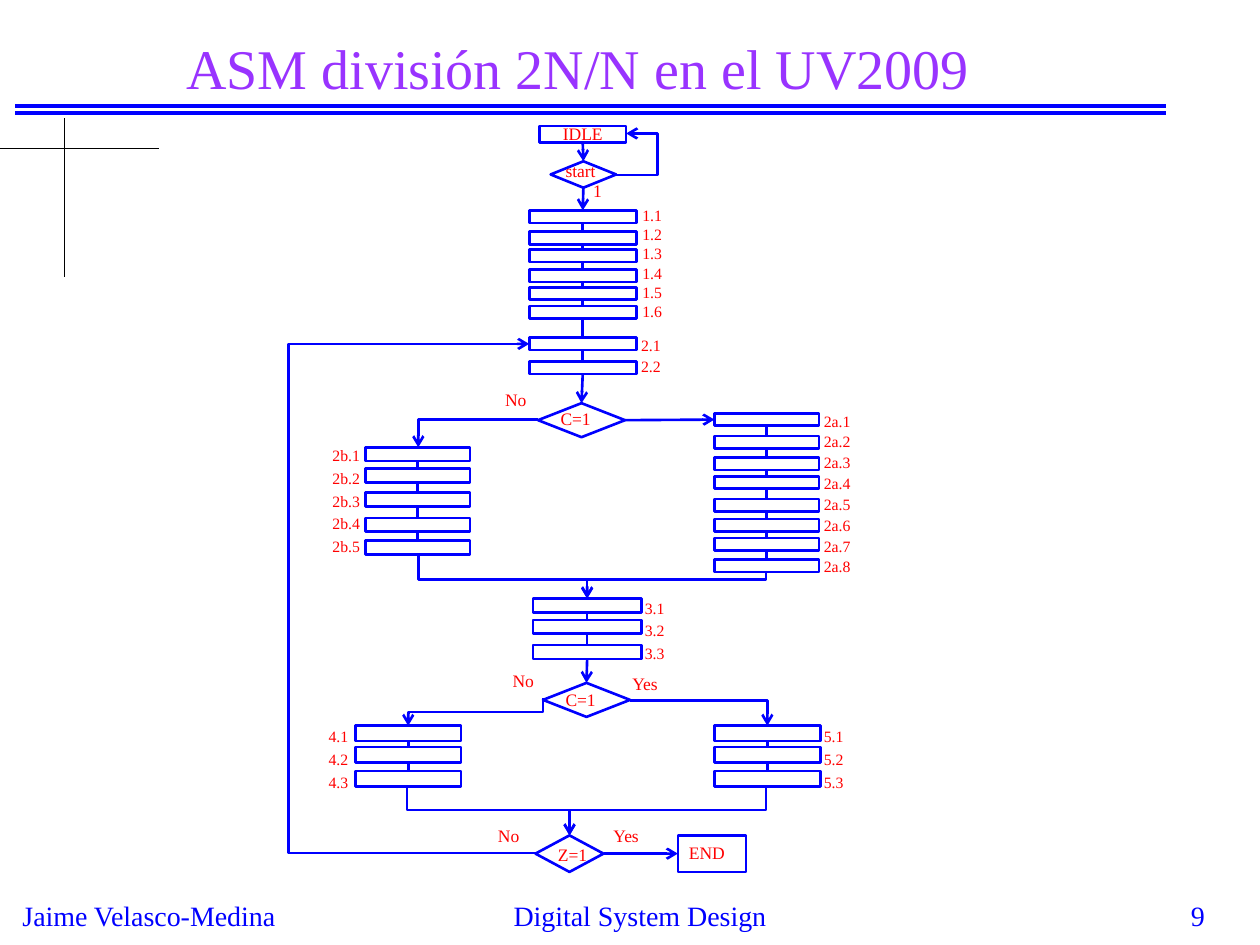
from dataclasses import dataclass
from itertools import pairwise

from lxml.etree import SubElement
from pptx import Presentation
from pptx.dml.color import RGBColor
from pptx.enum.shapes import MSO_CONNECTOR, MSO_SHAPE
from pptx.enum.text import PP_ALIGN
from pptx.oxml.ns import qn
from pptx.util import Inches, Pt


@dataclass(frozen=True)
class Theme:
    font: str = "Times New Roman"
    blue: RGBColor = RGBColor(0x00, 0x00, 0xFF)
    red: RGBColor = RGBColor(0xFF, 0x00, 0x00)
    purple: RGBColor = RGBColor(0x99, 0x33, 0xFF)
    black: RGBColor = RGBColor(0x00, 0x00, 0x00)
    title_size: float = 32
    footer_size: float = 16
    flow_size: float = 10
    step_size: float = 9
    rule_width: float = 2.25
    flow_width: float = 1.5
    hair_width: float = 0.75


THEME = Theme()
LEFT, CENTER, RIGHT = PP_ALIGN.LEFT, PP_ALIGN.CENTER, PP_ALIGN.RIGHT
TOP_SIDE, LEFT_SIDE, BOTTOM_SIDE, RIGHT_SIDE = range(4)

TITLE = ("ASM división 2N/N en el UV2009", 1.38, 0.22, 6.46, 0.64, LEFT)
FOOTERS = [
    ("Jaime Velasco-Medina", 0.08, 7.08, 2.24, 0.37, LEFT),
    ("Digital System Design", 3.33, 7.08, 3.5, 0.33, CENTER),
    ("9", 7.58, 7.08, 2.08, 0.25, RIGHT),
]
HEADER_RULES = [(0.12, 0.84, 9.25, 0.84), (0.12, 0.9, 9.25, 0.9)]
CROSS_HAIRS = [(0, 1.18, 1.26, 1.18), (0.51, 0.94, 0.51, 2.2)]

NODES = {
    "idle": (MSO_SHAPE.RECTANGLE, 4.28, 1, 0.69, 0.13),
    "start": (MSO_SHAPE.DIAMOND, 4.37, 1.28, 0.52, 0.21),
    "first carry": (MSO_SHAPE.DIAMOND, 4.27, 3.2, 0.69, 0.27),
    "second carry": (MSO_SHAPE.DIAMOND, 4.31, 5.42, 0.69, 0.27),
    "zero": (MSO_SHAPE.DIAMOND, 4.25, 6.63, 0.54, 0.29),
    "end": (MSO_SHAPE.RECTANGLE, 5.38, 6.63, 0.54, 0.29),
}
STACKS = {
    "main": (4.2, 0.85, 0.1, [1.67, 1.84, 1.98, 2.14, 2.28, 2.43, 2.68, 2.87]),
    "2a": (5.67, 0.83, 0.1, [3.28, 3.46, 3.63, 3.78, 3.96, 4.12, 4.27, 4.44]),
    "2b": (2.9, 0.83, 0.11, [3.55, 3.72, 3.91, 4.11, 4.29]),
    "3": (4.23, 0.86, 0.11, [4.75, 4.92, 5.12]),
    "4": (2.82, 0.84, 0.12, [5.76, 5.93, 6.12]),
    "5": (5.67, 0.84, 0.12, [5.76, 5.93, 6.12]),
}
STEP_LABELS = [
    ("1", 6, 5, 1.58, 0.43, 1.02, 1.02),
    ("2", 2, 4.99, 2.6, 0.37, 0.43, 1.1),
    ("2a", 8, 6.44, 3.2, 0.6, 1.43, 1.1),
    ("2b", 5, 2.54, 3.46, 0.45, 1.01, 1.2),
    ("3", 3, 5.02, 4.67, 0.57, 0.65, 1.2),
    ("4", 3, 2.51, 5.69, 0.48, 0.65, 1.2),
    ("5", 3, 6.44, 5.69, 0.48, 0.65, 1.2),
]
FLOW_LABELS = [
    ("IDLE", 4.1, 0.93, 1.05, 0.27, CENTER),
    ("start", 4.39, 1.22, 0.49, 0.27, LEFT),
    ("1", 4.61, 1.38, 0.28, 0.27, LEFT),
    ("No", 3.91, 3.04, 0.68, 0.27, LEFT),
    ("C=1", 4.35, 3.19, 0.71, 0.27, LEFT),
    ("No", 3.97, 5.27, 0.68, 0.27, LEFT),
    ("Yes", 4.92, 5.29, 0.67, 0.27, LEFT),
    ("C=1", 4.39, 5.42, 0.71, 0.27, LEFT),
    ("No", 3.66, 6.5, 0.56, 0.27, RIGHT),
    ("Yes", 4.77, 6.5, 0.55, 0.27, LEFT),
    ("Z=1", 4.33, 6.65, 0.58, 0.27, LEFT),
    ("END", 5.37, 6.63, 0.56, 0.27, LEFT),
]
SIDEWAYS_ROUTES = [
    ((4.88, 1.39), (4.97, 1.06), 5.22),
    ((4.25, 6.77), (4.2, 2.73), 2.29),
]
CORNER_ROUTES = [((4.27, 3.33), (3.32, 3.55)), ((5, 5.56), (6.09, 5.76))]
DOWNWARD_ROUTES = [
    ((6.08, 4.53), (4.66, 4.75), 4.6),
    ((3.32, 4.4), (4.66, 4.75), 4.6),
    ((4.31, 5.54), (3.24, 5.76), 5.65),
    ((6.08, 6.24), (4.52, 6.63), 6.43),
    ((3.23, 6.24), (4.52, 6.63), 6.43),
]


def add_text(page, lines, left, top, width, height, size, color, align=LEFT, spacing=1.0):
    box = page.shapes.add_textbox(*map(Inches, (left, top, width, height)))
    frame = box.text_frame
    frame.word_wrap = True
    frame.text = "\n".join(lines)
    for para in frame.paragraphs:
        para.alignment = align
        para.line_spacing = spacing
        para.font.name = THEME.font
        para.font.size = Pt(size)
        para.font.color.rgb = color


def add_node(page, kind, left, top, width, height):
    node = page.shapes.add_shape(kind, *map(Inches, (left, top, width, height)))
    node.shadow.inherit = False
    node.fill.background()
    node.line.color.rgb = THEME.blue
    node.line.width = Pt(THEME.flow_width)
    return node


def add_line(page, ends, kind=MSO_CONNECTOR.STRAIGHT, color=THEME.blue,
             width=THEME.flow_width, arrow=False):
    line = page.shapes.add_connector(kind, *map(Inches, ends))
    line.line.color.rgb = color
    line.line.width = Pt(width)
    if arrow:
        SubElement(line.line._get_or_add_ln(), qn("a:tailEnd"), type="arrow")
    SubElement(line._element.spPr, qn("a:effectLst"))
    return line


def join(page, source, source_side, target, target_side, arrow=False):
    line = add_line(page, (0, 0, 0, 0), arrow=arrow)
    line.begin_connect(source, source_side)
    line.end_connect(target, target_side)


def bend(line, share):
    guides = line._element.spPr.prstGeom.get_or_add_avLst()
    SubElement(guides, qn("a:gd"), name="adj1", fmla=f"val {round(share * 100000)}")


def add_sideways(page, start, end, turn):
    line = add_line(page, (*start, *end), MSO_CONNECTOR.ELBOW, arrow=True)
    bend(line, (turn - start[0]) / (end[0] - start[0]))


def add_corner(page, start, end):
    line = add_line(page, (*start, *end), MSO_CONNECTOR.ELBOW, arrow=True)
    line._element.spPr.prstGeom.set("prst", "bentConnector2")


def add_downward(page, start, end, turn):
    across, down = end[0] - start[0], end[1] - start[1]
    middle_x, middle_y = (start[0] + end[0]) / 2, (start[1] + end[1]) / 2
    left, top = middle_x - down / 2, middle_y - abs(across) / 2
    ends = (left, top, left + down, top + abs(across))
    line = add_line(page, ends, MSO_CONNECTOR.ELBOW, arrow=True)
    frame = line._element.spPr.find(qn("a:xfrm"))
    frame.set("rot", str(90 * 60000))
    if across > 0:
        frame.set("flipV", "1")
    bend(line, (turn - start[1]) / down)


def main():
    deck = Presentation()
    deck.slide_width, deck.slide_height = Inches(10), Inches(7.5)
    page = deck.slides.add_slide(deck.slide_layouts[6])

    for ends in HEADER_RULES:
        add_line(page, ends, width=THEME.rule_width)
    for text, *place, align in FOOTERS:
        add_text(page, [text], *place, THEME.footer_size, THEME.blue, align)
    for ends in CROSS_HAIRS:
        add_line(page, ends, color=THEME.black, width=THEME.hair_width)
    text, *place, align = TITLE
    add_text(page, [text], *place, THEME.title_size, THEME.purple, align)

    nodes = {name: add_node(page, *shape) for name, shape in NODES.items()}
    stacks = {
        name: [add_node(page, MSO_SHAPE.RECTANGLE, left, top, width, height) for top in tops]
        for name, (left, width, height, tops) in STACKS.items()
    }
    for steps in stacks.values():
        for upper, lower in pairwise(steps):
            join(page, upper, BOTTOM_SIDE, lower, TOP_SIDE)

    for upper, lower in [
        (nodes["idle"], nodes["start"]),
        (nodes["start"], stacks["main"][0]),
        (stacks["main"][-1], nodes["first carry"]),
        (stacks["3"][-1], nodes["second carry"]),
    ]:
        join(page, upper, BOTTOM_SIDE, lower, TOP_SIDE, arrow=True)
    for source, target in [
        (nodes["first carry"], stacks["2a"][0]),
        (nodes["zero"], nodes["end"]),
    ]:
        join(page, source, RIGHT_SIDE, target, LEFT_SIDE, arrow=True)

    for route in SIDEWAYS_ROUTES:
        add_sideways(page, *route)
    for route in CORNER_ROUTES:
        add_corner(page, *route)
    for route in DOWNWARD_ROUTES:
        add_downward(page, *route)

    for text, *place, align in FLOW_LABELS:
        add_text(page, [text], *place, THEME.flow_size, THEME.red, align)
    for prefix, count, *place, spacing in STEP_LABELS:
        lines = [f"{prefix}.{number}" for number in range(1, count + 1)]
        add_text(page, lines, *place, THEME.step_size, THEME.red, spacing=spacing)

    deck.save("out.pptx")


if __name__ == "__main__":
    main()
